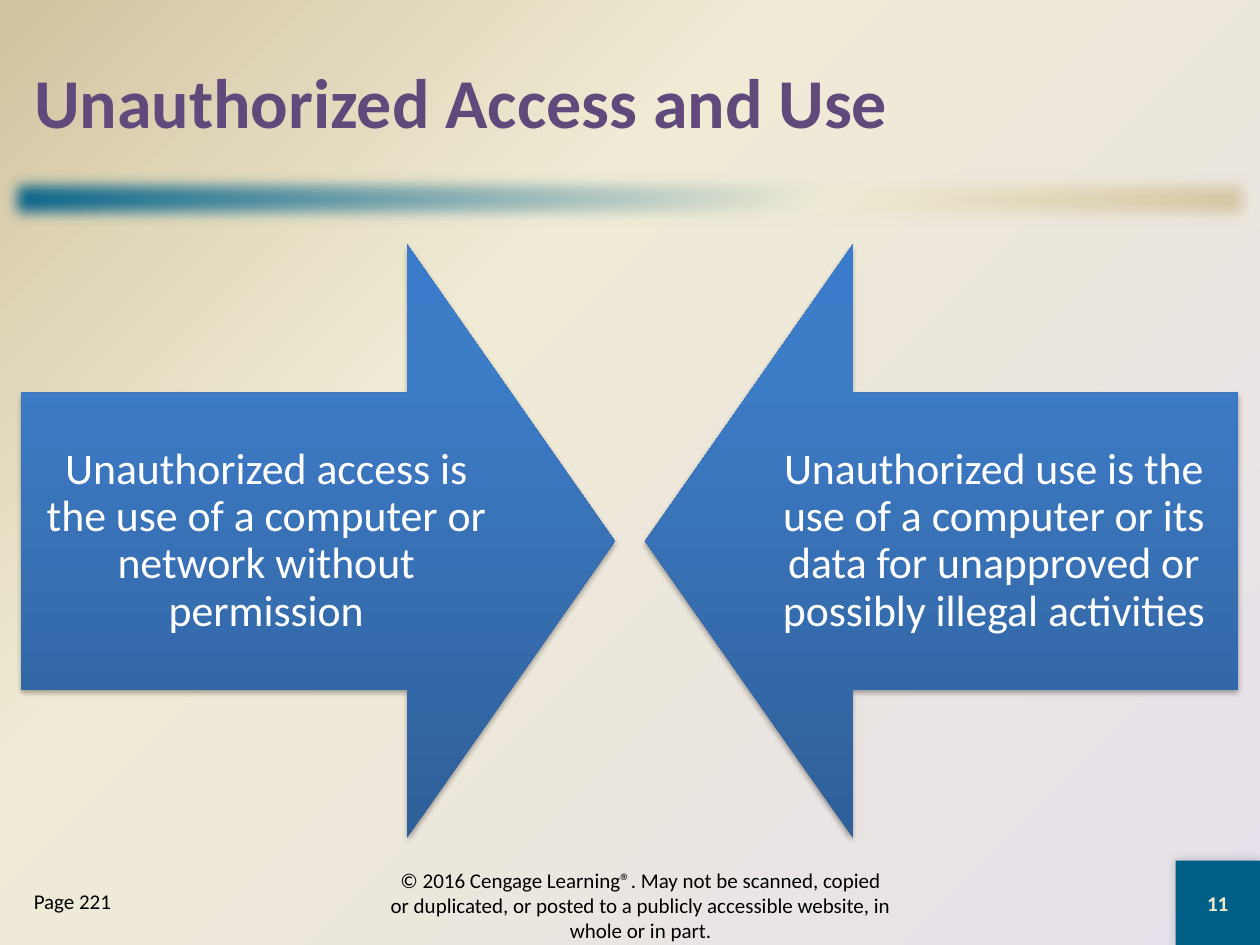
from lxml import etree
from pptx import Presentation
from pptx.dml.color import RGBColor
from pptx.enum.shapes import MSO_SHAPE
from pptx.enum.text import MSO_ANCHOR, MSO_AUTO_SIZE, PP_ALIGN
from pptx.oxml.ns import qn
from pptx.util import Inches, Pt

RECTANGLE = MSO_SHAPE.RECTANGLE
RIGHT_ARROW, LEFT_ARROW = MSO_SHAPE.RIGHT_ARROW, MSO_SHAPE.LEFT_ARROW
TOP, MIDDLE = MSO_ANCHOR.TOP, MSO_ANCHOR.MIDDLE
LEFT, CENTER = PP_ALIGN.LEFT, PP_ALIGN.CENTER

TEAL = RGBColor(0x00, 0x5F, 0x86)
CREAM = RGBColor(0xF0, 0xEB, 0xD5)
SAND = RGBColor(0xD1, 0xC3, 0x9F)
LILAC = RGBColor(0xE6, 0xE0, 0xEC)
PURPLE = RGBColor(0x60, 0x4A, 0x7B)
DARK_BLUE = RGBColor(0x2F, 0x5F, 0x99)
MID_BLUE = RGBColor(0x3D, 0x7C, 0xC7)
BRIGHT_BLUE = RGBColor(0x3A, 0x7C, 0xCB)
PALE_YELLOW = RGBColor(0xEE, 0xEB, 0xCA)
WHITE = RGBColor(0xFF, 0xFF, 0xFF)
BLACK = RGBColor(0x00, 0x00, 0x00)

FONT = "Calibri"
MARGIN = 0.17
ARROW_SIZE = 4.71
ARROWS = [
    (RIGHT_ARROW, MARGIN,
     "Unauthorized access is the use of a computer or network without permission"),
    (LEFT_ARROW, 10 - MARGIN - ARROW_SIZE,
     "Unauthorized use is the use of a computer or its data for unapproved "
     "or possibly illegal activities"),
]
FOOTER = ("© 2016 Cengage Learning®. May not be scanned, copied or duplicated, "
          "or posted to a publicly accessible website, in whole or in part.")


def add_node(parent, tag, **values):
    node = etree.SubElement(parent, qn(tag))
    for name, value in values.items():
        node.set(name, str(value))
    return node


def set_gradient(fill, owner, stops, angle=None):
    """Fill with (percent, colour) stops; without an angle, radiate from bottom right."""
    fill.gradient()
    gradient = owner.find(".//" + qn("a:gradFill"))
    for child in list(gradient):
        gradient.remove(child)
    stop_list = add_node(gradient, "a:gsLst")
    for percent, color in stops:
        stop = add_node(stop_list, "a:gs", pos=percent * 1000)
        add_node(stop, "a:srgbClr", val=color)
    if angle is None:
        circle = add_node(gradient, "a:path", path="circle")
        add_node(circle, "a:fillToRect", l=100000, t=100000)
    else:
        add_node(gradient, "a:lin", ang=angle * 60000, scaled=0)


def add_shadow(shape, opacity, blur, distance, direction):
    effects = shape._element.spPr.find(qn("a:effectLst"))
    shadow = add_node(effects, "a:outerShdw", blurRad=Pt(blur), dist=Pt(distance),
                      dir=direction * 60000, algn="ctr", rotWithShape=0)
    color = add_node(shadow, "a:srgbClr", val=BLACK)
    add_node(color, "a:alpha", val=opacity * 1000)


def add_plain_shape(page, kind, left, top, width, height):
    shape = page.shapes.add_shape(
        kind, Inches(left), Inches(top), Inches(width), Inches(height))
    shape.shadow.inherit = False
    shape.line.fill.background()
    return shape


def write_text(shape, text, size, color, align=CENTER, anchor=MIDDLE, bold=False):
    frame = shape.text_frame
    frame.word_wrap = True
    frame.auto_size = MSO_AUTO_SIZE.NONE
    frame.vertical_anchor = anchor
    para = frame.paragraphs[0]
    para.alignment = align
    span = para.add_run()
    span.text = text
    span.font.color.rgb = color
    for name, value in {"name": FONT, "size": Pt(size), "bold": bold}.items():
        setattr(span.font, name, value)


def add_label(page, text, left, top, width, height, **layout):
    box = page.shapes.add_textbox(
        Inches(left), Inches(top), Inches(width), Inches(height))
    write_text(box, text, 12, BLACK, **layout)


def add_title(page, text):
    title = page.shapes.title
    place = {"left": MARGIN, "top": 0.17, "width": 9.67, "height": 1.25}
    for name, value in place.items():
        setattr(title, name, Inches(value))
    write_text(title, text, 40, PURPLE, align=LEFT, bold=True)


def add_divider(page):
    band = add_plain_shape(page, RECTANGLE, 0, 1.33, 10, 0.5)
    set_gradient(band.fill, band._element, [(0, TEAL), (65, CREAM), (100, SAND)], 45)
    effects = band._element.spPr.find(qn("a:effectLst"))
    add_node(effects, "a:softEdge", rad=Pt(9))


def add_arrow(page, kind, left, text):
    arrow = add_plain_shape(page, kind, left, 1.94, ARROW_SIZE, ARROW_SIZE)
    arrow.adjustments[0] = 0.5
    arrow.adjustments[1] = 0.35
    set_gradient(arrow.fill, arrow._element,
                 [(0, DARK_BLUE), (80, MID_BLUE), (100, BRIGHT_BLUE)], 270)
    add_shadow(arrow, 35, 3.1, 1.8, 90)
    write_text(arrow, text, 25, WHITE)
    frame = arrow.text_frame
    frame.paragraphs[0].line_spacing = 0.9
    for side in ("left", "top", "right", "bottom"):
        setattr(frame, "margin_" + side, Inches(0.19))


def add_page_number(page, number):
    corner = add_plain_shape(page, RECTANGLE, 9.33, 6.83, 0.67, 0.67)
    corner.fill.solid()
    corner.fill.fore_color.rgb = TEAL
    add_shadow(corner, 20, 6, 0, 225)
    write_text(corner, number, 12, PALE_YELLOW, bold=True)


def main():
    deck = Presentation()
    deck.slide_width, deck.slide_height = Inches(10), Inches(7.5)
    page = deck.slides.add_slide(deck.slide_layouts[5])
    set_gradient(page.background.fill, page._element,
                 [(0, LILAC), (65, CREAM), (100, SAND)])
    add_divider(page)
    add_title(page, "Unauthorized Access and Use")
    for kind, left, text in ARROWS:
        add_arrow(page, kind, left, text)
    add_label(page, FOOTER, 3, 6.91, 4.17, 0.55)
    add_page_number(page, "11")
    add_label(page, "Page 221", MARGIN, 7, 1.83, 0.5, align=LEFT, anchor=TOP)
    deck.save("out.pptx")


if __name__ == "__main__":
    main()
